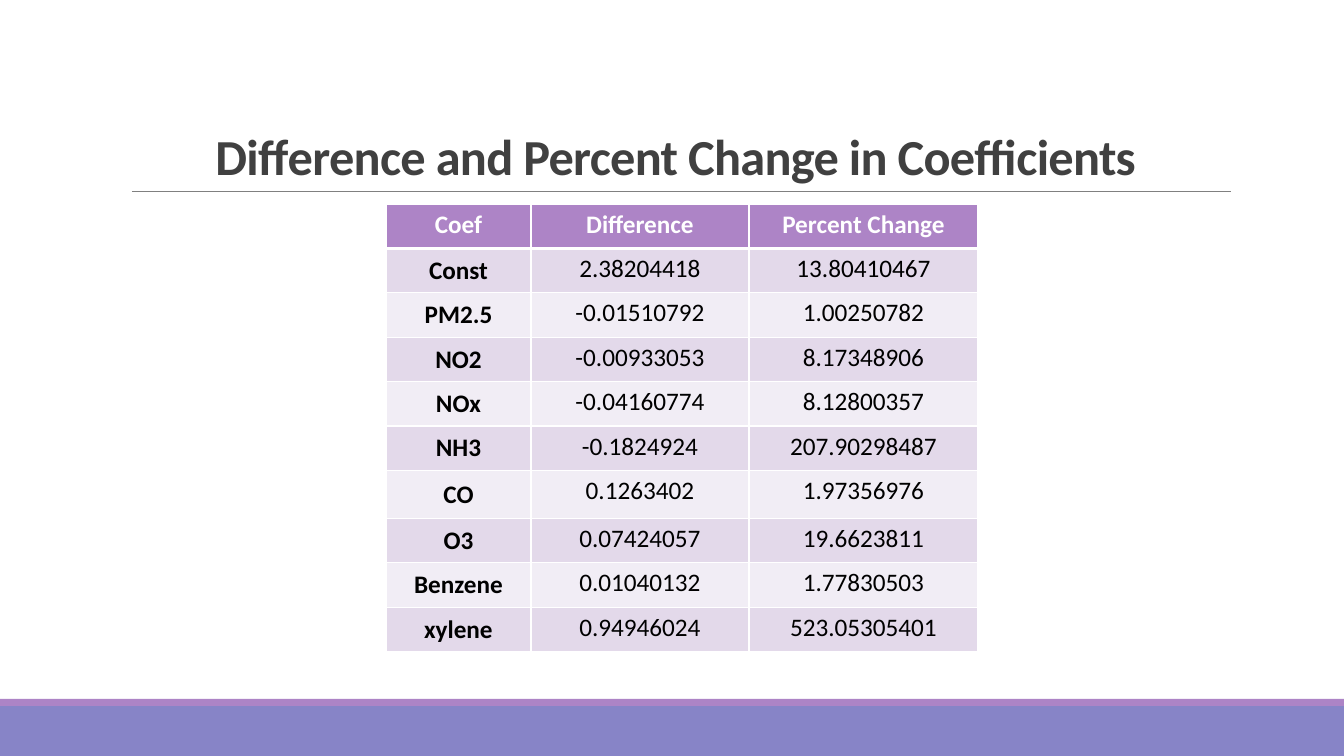
import pptx
import pptx.util
import pptx.dml.color
import pptx.enum.shapes
import pptx.enum.text
import pptx.oxml
import pptx.oxml.ns

# Content
TITLE = "Difference and Percent Change in Coefficients"
HEAD = ("Coef", "Difference", "Percent Change")
ROWS = [
    ("Const", "2.38204418", "13.80410467"),
    ("PM2.5", "-0.01510792", "1.00250782"),
    ("NO2", "-0.00933053", "8.17348906"),
    ("NOx", "-0.04160774", "8.12800357"),
    ("NH3", "-0.1824924", "207.90298487"),
    ("CO", "0.1263402", "1.97356976"),
    ("O3", "0.07424057", "19.6623811"),
    ("Benzene", "0.01040132", "1.77830503"),
    ("xylene", "0.94946024", "523.05305401"),
]

# Colours and font
RGB = pptx.dml.color.RGBColor
WHITE = RGB(0xFF, 0xFF, 0xFF)
BLACK = RGB(0, 0, 0)
DARK = RGB(0x40, 0x40, 0x40)
GREY = RGB(0x80, 0x80, 0x80)
BLUE = RGB(0x87, 0x84, 0xC7)
PURPLE = RGB(0xAD, 0x84, 0xC6)
BANDS = (RGB(0xE3, 0xD9, 0xEA), RGB(0xF1, 0xED, 0xF5))
FONT = "Calibri"

# Lengths in px
SCALE = 914400 / 100.8
WIDE, HIGH = 1344, 756
BARS = [(706, 50, BLUE), (699, 7, PURPLE)]
RULE = (132, 191, 1231, 191)
TITLE_BOX = (121, 31, 1109, 160)
LEFT, TOP, TALL = 386, 204, 448
COLS = (145, 218, 229)
CO_ROW, CO_TALL = 6, 48

ANCHOR = pptx.enum.text.MSO_ANCHOR
Pt = pptx.util.Pt


def px(num):
    return pptx.util.Emu(round(num * SCALE))


def put(item, form):
    for name, val in form.items():
        setattr(item, name, val)


def write(frame, text, size, color, bold):
    para = frame.paragraphs[0]
    para.alignment = pptx.enum.text.PP_ALIGN.CENTER
    run = para.add_run()
    run.text = text
    put(run.font, {"name": FONT, "size": Pt(size), "bold": bold})
    run.font.color.rgb = color
    return para, run


def edge(cell, side, width):
    line = pptx.oxml.parse_xml(
        f'<a:ln{side} {pptx.oxml.ns.nsdecls("a")} w="{Pt(width)}">'
        f'<a:solidFill><a:srgbClr val="{WHITE}"/></a:solidFill></a:ln{side}>')
    cell._tc.get_or_add_tcPr().append(line)


deck = pptx.Presentation()
put(deck, {"slide_width": px(WIDE), "slide_height": px(HIGH)})
slide = deck.slides.add_slide(deck.slide_layouts[6])
shapes = slide.shapes

# Bottom bars
for top, tall, color in BARS:
    bar = shapes.add_shape(pptx.enum.shapes.MSO_SHAPE.RECTANGLE,
                           0, px(top), px(WIDE), px(tall))
    bar.shadow.inherit = False
    bar.fill.solid()
    bar.fill.fore_color.rgb = color
    bar.line.fill.background()

# Rule under the title
rule = shapes.add_connector(pptx.enum.shapes.MSO_CONNECTOR.STRAIGHT,
                            *map(px, RULE))
rule.line.color.rgb = GREY
rule.line.width = Pt(0.5)
rule._element.spPr.append(pptx.oxml.parse_xml(
    f'<a:effectLst {pptx.oxml.ns.nsdecls("a")}/>'))

# Title
frame = shapes.add_textbox(*map(px, TITLE_BOX)).text_frame
put(frame, {"word_wrap": True, "vertical_anchor": ANCHOR.BOTTOM})
para, run = write(frame, TITLE, 36, DARK, True)
para.line_spacing = 0.85
run._r.get_or_add_rPr().set("spc", "-50")

# Table grid
grid = [HEAD] + ROWS
step = (TALL - CO_TALL) / (len(grid) - 1)
table = shapes.add_table(len(grid), len(COLS), px(LEFT), px(TOP),
                         px(sum(COLS)), px(TALL)).table
put(table, {"first_row": False, "horz_banding": False})
for col, wide in zip(table.columns, COLS):
    col.width = px(wide)
for num, row in enumerate(table.rows):
    row.height = px(CO_TALL if num == CO_ROW else step)

# Table cells
for num, texts in enumerate(grid):
    head = num == 0
    for pos, text in enumerate(texts):
        cell = table.cell(num, pos)
        label = pos == 0 and not head
        cell.vertical_anchor = ANCHOR.MIDDLE if label else ANCHOR.TOP
        write(cell.text_frame, text, 18, WHITE if head else BLACK,
              head or label)
        for side in "LRTB":
            thick = (num, side) in ((0, "B"), (1, "T"))
            edge(cell, side, 3 if thick else 1)
        cell.fill.solid()
        cell.fill.fore_color.rgb = PURPLE if head else BANDS[(num - 1) % 2]

deck.save("out.pptx")
